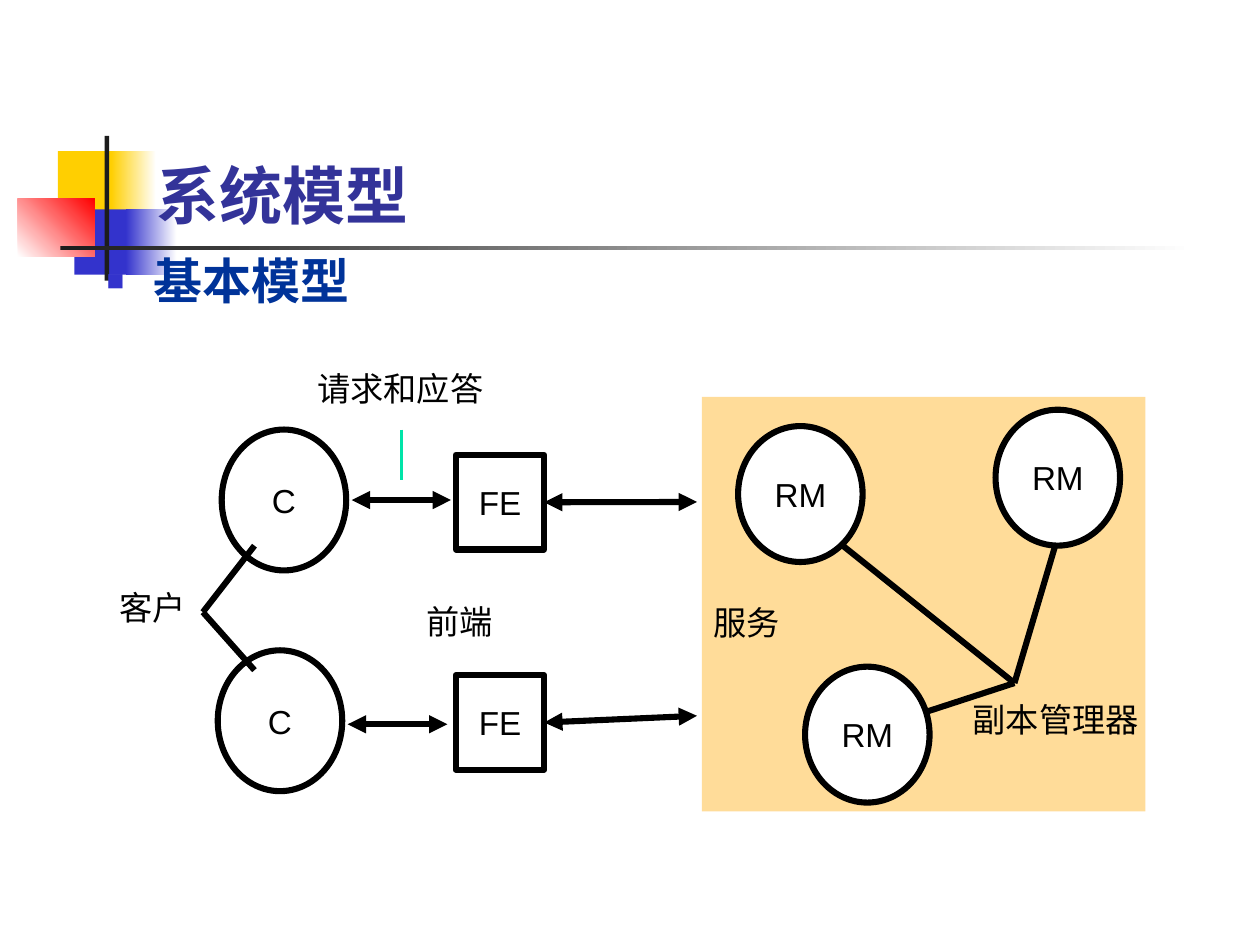
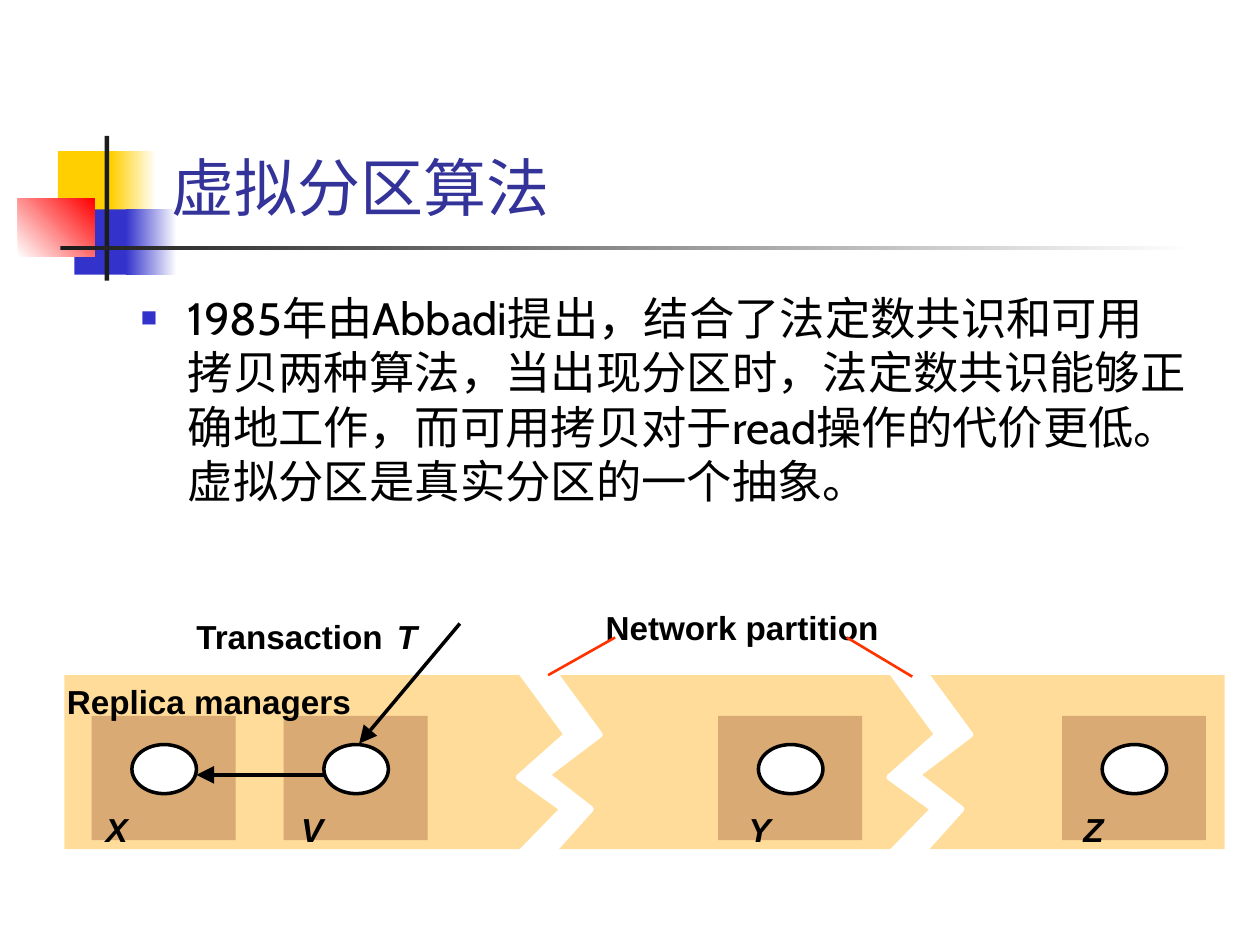
import pptx
import pptx.dml.color
import pptx.enum.dml
import pptx.enum.shapes
import pptx.enum.text
import pptx.oxml
import pptx.oxml.ns
import pptx.util
from pptx.util import Cm, Pt

RGBColor = pptx.dml.color.RGBColor
Shape = pptx.enum.shapes.MSO_SHAPE
Anchor = pptx.enum.text.MSO_ANCHOR
Align = pptx.enum.text.PP_ALIGN
AutoSize = pptx.enum.text.MSO_AUTO_SIZE
qn = pptx.oxml.ns.qn

BLACK = RGBColor(0x00, 0x00, 0x00)
WHITE = RGBColor(0xFF, 0xFF, 0xFF)
YELLOW = RGBColor(0xFF, 0xCF, 0x01)
BLUE = RGBColor(0x33, 0x33, 0xCC)
RED = RGBColor(0xFF, 0x00, 0x00)
CHARCOAL = RGBColor(0x1C, 0x1C, 0x1C)
TITLE_BLUE = RGBColor(0x33, 0x33, 0x99)
HEADING_BLUE = RGBColor(0x00, 0x33, 0x99)
SAND = RGBColor(0xFF, 0xDC, 0x99)
BROWN = RGBColor(0xD9, 0xAA, 0x73)
MINT = RGBColor(0x00, 0xE4, 0xA8)
ORANGE = RGBColor(0xFF, 0x33, 0x00)

LABEL_FONT = "Arial"
LABEL_SIZE = 19
HEAVY = 3.5
MEDIUM = 2
FINE = 1.5

# All positions and sizes below are centimetres: left, top, width, height.
# Decoration: box, first colour, second colour (None for a plain fill), angle
DECORATION = [
    ((1.17, 3.05, 1.22, 1.32), YELLOW, None, 0),
    ((2.24, 3.05, 0.91, 1.32), YELLOW, WHITE, 0),
    ((1.5, 4.22, 1.17, 1.32), BLUE, None, 0),
    ((2.54, 4.22, 1.02, 1.32), BLUE, WHITE, 0),
    ((0.36, 4.01, 1.55, 1.17), WHITE, RED, 45),
    ((2.11, 2.74, 0.09, 2.92), CHARCOAL, None, 0),
    ((1.22, 4.95, 22.86, 0.09), CHARCOAL, WHITE, 0),
]

# Slide 1: the basic model
SERVICE = (14.15, 8, 8.94, 8.36)
CLIENT_SIZE = (2.51, 2.84)
CLIENTS = [(4.47, 8.66), (4.39, 13.11)]
FRONT_END_SIZE = (1.78, 1.91)
FRONT_ENDS = [(9.19, 9.17), (9.19, 13.61)]
MANAGER_SIZE = (2.51, 2.74)
MANAGERS = [(14.88, 8.59), (16.23, 13.44), (20.07, 8.26)]
CLIENT_ARROWS = [((7.09, 10.08), (9.09, 10.08)), ((7.01, 14.6), (9.02, 14.6))]
SERVICE_ARROW_ENDS = [(14.05, 10.12), (14.05, 14.43)]
# Each pointer starts at its label and fans out to the things it names
POINTERS = [
    ((4.09, 12.34), [(5.13, 11), (5.13, 13.51)]),
    ((20.45, 13.77), [(21.34, 10.77), (16.89, 10.92), (18.67, 14.35)]),
]
REQUEST_POINTER = ((8.09, 8.66), (8.09, 9.68))
MODEL_LABELS = [
    ("请求和应答", 6.4, 7.42, 3.4),
    ("副本管理器", 19.61, 14.1, 3.4),
    ("服务", 14.38, 12.14, 1.4),
    ("客户", 2.41, 11.84, 1.4),
    ("前端", 8.59, 12.12, 1.4),
]

# Slide 2: virtual partitions
ALGORITHM_TEXT = (
    "1985年由Abbadi提出，结合了法定数共识和可用拷贝两种算法，"
    "当出现分区时，法定数共识能够正确地工作，而可用拷贝对于read操作的代价更低。"
    "虚拟分区是真实分区的一个抽象。"
)
NETWORK = (1.3, 13.61, 23.39, 3.51)
REPLICA_TOP = 14.43
REPLICA_SIZE = (2.9, 2.51)
COPY_OFFSET = (0.81, 0.58)
COPY_SIZE = (1.3, 0.99)
NAME_TOP = 16.31
# Replica name, left of its square, left of its name
REPLICAS = [
    ("X", 1.85, 2.13),
    ("V", 5.72, 6.07),
    ("Y", 14.48, 15.09),
    ("Z", 21.41, 21.84),
]
PARTITION_LABELS = [
    ("Replica managers", 1.35, 13.74, 6.2),
    ("Network partition", 12.21, 12.24, 6),
    ("Transaction", 3.96, 12.42, 3.9),
]
TRANSACTION_NAME = ("T", 8, 12.42, 0.5)
TRANSACTION_ARROWS = [
    ((9.27, 12.57), (7.24, 14.99)),
    ((6.53, 15.62), (3.96, 15.62)),
]
GAP_TOP = 13.49
GAP_LEFTS = [10.31, 17.78]
GAP_OUTLINE = [
    (0.15, 0), (1.12, 1.32), (0.15, 2.18), (1.04, 2.82), (0, 3.89),
    (0.64, 3.89), (1.6, 2.82), (0.71, 2.13), (1.78, 1.32), (0.81, 0),
]
GAP_POINTERS = [
    ((17.07, 12.85), (18.39, 13.64)),
    ((12.4, 12.85), (11.05, 13.61)),
]


def add_run(paragraph, text, size, font, color, bold=False, italic=False,
            east_asian_font=None):
    run = paragraph.add_run()
    run.text = text
    run.font.size = Pt(size)
    run.font.name = font
    run.font.color.rgb = color
    run.font.bold = bold
    run.font.italic = italic
    east_asian = pptx.oxml.parse_xml(
        f'<a:ea {pptx.oxml.ns.nsdecls("a")} typeface="{east_asian_font or font}"/>')
    run.font._element.find(qn("a:latin")).addnext(east_asian)


def set_outline(shape, color, width):
    if color is None:
        shape.line.fill.background()
    else:
        shape.line.color.rgb = color
        shape.line.width = Pt(width)


def add_box(slide, kind, box, fill=None, line=None, width=HEAVY, text=""):
    shape = slide.shapes.add_shape(kind, *map(Cm, box))
    shape.shadow.inherit = False
    if fill is None:
        shape.fill.background()
    else:
        shape.fill.solid()
        shape.fill.fore_color.rgb = fill
    set_outline(shape, line, width)
    if text:
        frame = shape.text_frame
        frame.word_wrap = False
        frame.vertical_anchor = Anchor.MIDDLE
        frame.paragraphs[0].alignment = Align.CENTER
        add_run(frame.paragraphs[0], text, LABEL_SIZE, LABEL_FONT, BLACK)
    return shape


def add_line(slide, start, end, color=BLACK, width=HEAVY, heads=(), size="med"):
    """Draw a straight line; heads lists "headEnd" (start) and "tailEnd" (end)."""
    connector = slide.shapes.add_connector(
        pptx.enum.shapes.MSO_CONNECTOR.STRAIGHT, *map(Cm, start + end))
    connector.line.color.rgb = color
    connector.line.width = Pt(width)
    properties = connector.element.spPr
    for head in heads:
        properties.find(qn("a:ln")).append(pptx.oxml.parse_xml(
            f'<a:{head} {pptx.oxml.ns.nsdecls("a")} type="triangle" '
            f'w="{size}" len="{size}"/>'))
    properties.append(pptx.oxml.parse_xml(
        f'<a:effectLst {pptx.oxml.ns.nsdecls("a")}/>'))
    return connector


def add_label(slide, text, left, top, width, bold=False, italic=False):
    box = slide.shapes.add_textbox(Cm(left), Cm(top), Cm(width), Cm(0.81))
    frame = box.text_frame
    frame.word_wrap = False
    frame.margin_left = frame.margin_right = 0
    frame.margin_top = frame.margin_bottom = 0
    add_run(frame.paragraphs[0], text, LABEL_SIZE, LABEL_FONT, BLACK, bold, italic)


def add_bullet(slide, box, text, size, font, color, bold=False, east_asian_font=None):
    frame = slide.shapes.add_textbox(*map(Cm, box)).text_frame
    frame.word_wrap = True
    paragraph = frame.paragraphs[0]
    paragraph.space_before = Pt(7)
    add_run(paragraph, text, size, font, color, bold, east_asian_font=east_asian_font)
    properties = paragraph._p.get_or_add_pPr()
    properties.set("marL", str(Cm(0.95)))
    properties.set("indent", str(-Cm(0.95)))
    properties.set("hangingPunct", "0")
    for tag, content in [
        ("buClr", f'><a:srgbClr val="{BLUE}"/></a:buClr>'),
        ("buSzPct", ' val="60000"/>'),
        ("buFont", f' typeface="{LABEL_FONT}"/>'),
        ("buChar", ' char="■"/>'),
    ]:
        properties.append(pptx.oxml.parse_xml(
            f'<a:{tag} {pptx.oxml.ns.nsdecls("a")}{content}'))


def set_title(slide, text, box, font, bold=False):
    title = slide.shapes.title
    title.left, title.top, title.width, title.height = map(Cm, box)
    frame = title.text_frame
    frame.auto_size = AutoSize.NONE
    frame.vertical_anchor = Anchor.BOTTOM
    frame.paragraphs[0].alignment = Align.LEFT
    add_run(frame.paragraphs[0], text, 36, font, TITLE_BLUE, bold)


def decorate_layout(layout, slide):
    """Draw the decoration on the slide, then move it to the shared layout."""
    for number, (box, first, second, angle) in enumerate(DECORATION):
        shape = add_box(slide, Shape.RECTANGLE, box, first)
        if second is not None:
            shape.fill.gradient()
            shape.fill.gradient_angle = angle
            stops = zip(shape.fill.gradient_stops, (first, second), (0, 1))
            for stop, color, position in stops:
                stop.color.rgb = color
                stop.position = position
        shape.element.nvSpPr.cNvPr.set("id", str(100 + number))
        layout.shapes.element.append(shape.element)


def build_basic_model(slide):
    set_title(slide, "系统模型", (2.9, 2.31, 18.8, 2.49), "Noto Sans CJK JP", True)
    add_bullet(slide, (1.9, 4.93, 22.81, 13.21), "基本模型", 28,
               "Times New Roman", HEADING_BLUE, True, LABEL_FONT)
    add_box(slide, Shape.RECTANGLE, SERVICE, SAND)
    for client in CLIENTS:
        add_box(slide, Shape.OVAL, client + CLIENT_SIZE, line=BLACK, text="C")
    for hub, targets in POINTERS:
        for target in targets:
            add_line(slide, hub, target)
    add_line(slide, *REQUEST_POINTER, MINT, FINE)
    both_heads = ("headEnd", "tailEnd")
    for start, end in CLIENT_ARROWS:
        add_line(slide, start, end, heads=both_heads)
    for position, arrow_end in zip(FRONT_ENDS, SERVICE_ARROW_ENDS):
        front_end = add_box(slide, Shape.RECTANGLE, position + FRONT_END_SIZE,
                            WHITE, BLACK, text="FE")
        arrow = add_line(slide, position, arrow_end, heads=both_heads)
        arrow.begin_connect(front_end, 3)
    for manager in MANAGERS:
        add_box(slide, Shape.OVAL, manager + MANAGER_SIZE, WHITE, BLACK, text="RM")
    for label in MODEL_LABELS:
        add_label(slide, *label)


def add_partition_gap(slide, left):
    points = [(Cm(left + x), Cm(GAP_TOP + y)) for x, y in GAP_OUTLINE]
    builder = slide.shapes.build_freeform(*points[0])
    builder.add_line_segments(points[1:], close=True)
    gap = builder.convert_to_shape()
    gap.shadow.inherit = False
    gap.fill.solid()
    gap.fill.fore_color.rgb = WHITE
    set_outline(gap, WHITE, HEAVY)


def build_virtual_partition(slide):
    set_title(slide, "虚拟分区算法", (3.2, 0.58, 21.64, 4.06), "Cabin")
    add_bullet(slide, (2.59, 5.72, 21.59, 5.33), ALGORITHM_TEXT, 25.9, "Cabin", BLACK)
    add_box(slide, Shape.RECTANGLE, NETWORK, SAND)
    for name, left, name_left in REPLICAS:
        add_box(slide, Shape.RECTANGLE, (left, REPLICA_TOP) + REPLICA_SIZE, BROWN)
        corner = (left + COPY_OFFSET[0], REPLICA_TOP + COPY_OFFSET[1])
        add_box(slide, Shape.OVAL, corner + COPY_SIZE, WHITE, BLACK, MEDIUM)
        add_label(slide, name, name_left, NAME_TOP, 0.5, True, True)
    for label in PARTITION_LABELS:
        add_label(slide, *label, bold=True)
    add_label(slide, *TRANSACTION_NAME, bold=True, italic=True)
    for start, end in TRANSACTION_ARROWS:
        add_line(slide, start, end, BLACK, MEDIUM, ("tailEnd",), "lg")
    for left in GAP_LEFTS:
        add_partition_gap(slide, left)
    for start, end in GAP_POINTERS:
        add_line(slide, start, end, ORANGE, FINE)


def main():
    presentation = pptx.Presentation()
    presentation.slide_width = Cm(25.4)
    presentation.slide_height = Cm(19.05)
    layout = presentation.slide_layouts[5]
    model_slide = presentation.slides.add_slide(layout)
    partition_slide = presentation.slides.add_slide(layout)
    decorate_layout(layout, model_slide)
    build_basic_model(model_slide)
    build_virtual_partition(partition_slide)
    presentation.save("out.pptx")


if __name__ == "__main__":
    main()
